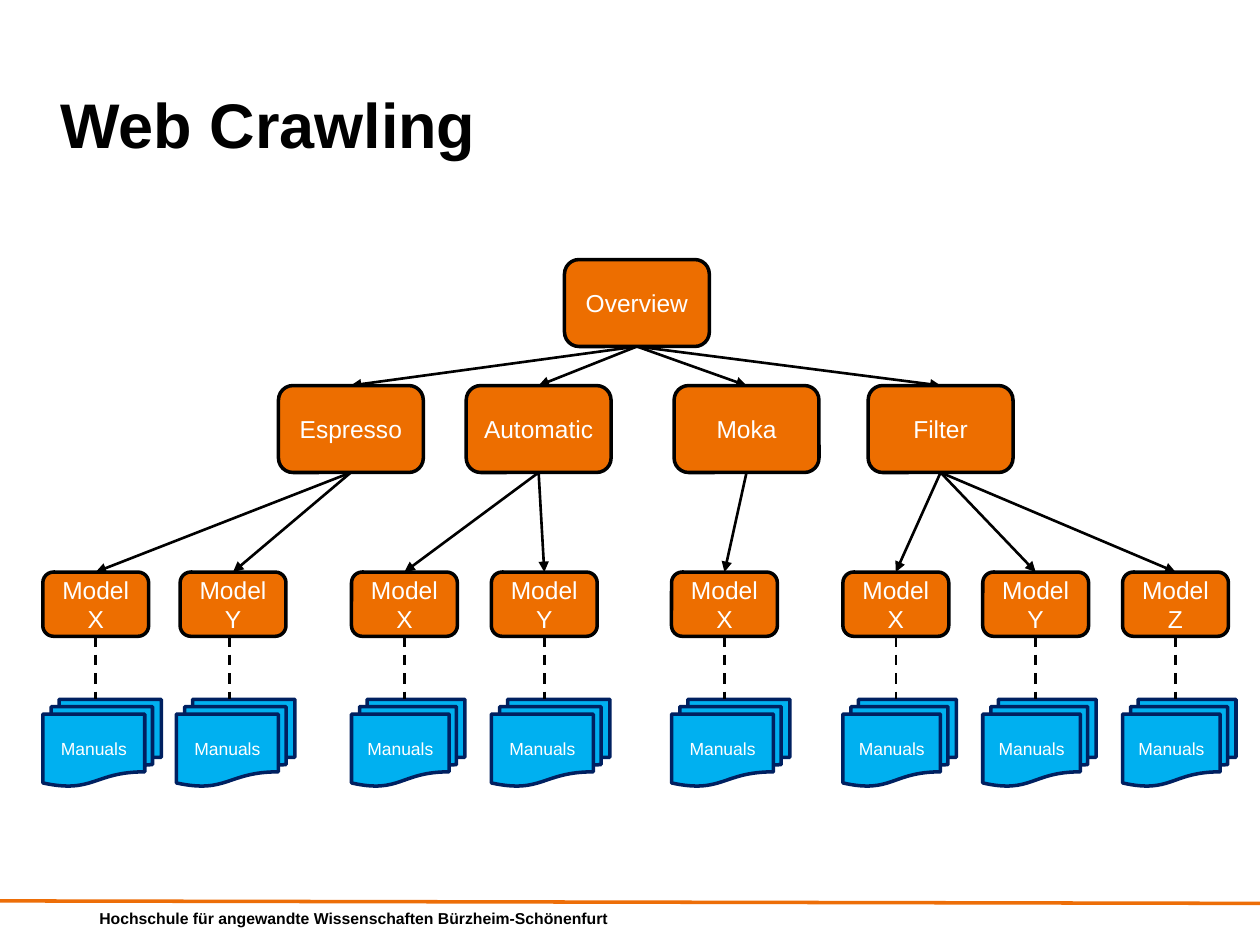
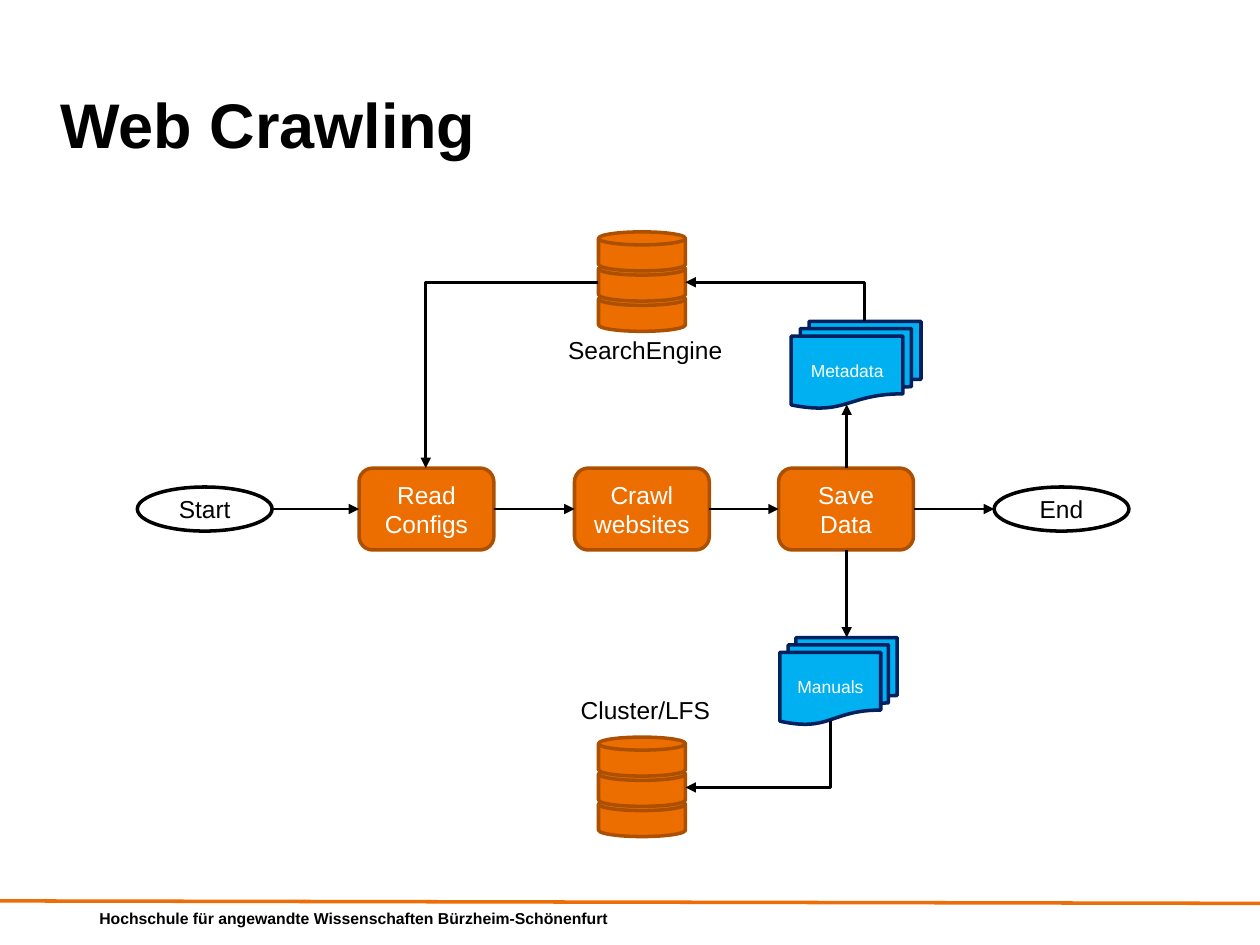
from pptx import Presentation
from pptx.dml.color import RGBColor
from pptx.enum.dml import MSO_LINE as Dash
from pptx.enum.shapes import MSO_CONNECTOR as Conn, MSO_SHAPE as Kind
from pptx.enum.text import MSO_ANCHOR as Anchor, MSO_AUTO_SIZE as Fit, PP_ALIGN as Align
from pptx.oxml.ns import qn
from pptx.util import Inches, Pt
from lxml import etree

# Shared look
FONT = "Arial"
ORANGE, RUST, BAND = "ED6E00", "AC5000", "ED6E08"
SKY, NAVY = "00B0F0", "002060"
BLACK, WHITE = "000000", "FFFFFF"
TITLE = "Web Crawling"
FOOT = "Hochschule für angewandte Wissenschaften Bürzheim-Schönenfurt"

# Tree: category, left, models as (name, left, sheet left, sheet width)
TREE = [
    ("Espresso", 2.21, [("X", 0.34, 0.34, 0.94), ("Y", 1.43, 1.4, 0.94)]),
    ("Automatic", 3.7, [("X", 2.79, 2.79, 0.9), ("Y", 3.9, 3.9, 0.94)]),
    ("Moka", 5.35, [("X", 5.33, 5.33, 0.94)]),
    ("Filter", 6.89, [("X", 6.69, 6.69, 0.9), ("Y", 7.8, 7.8, 0.9),
                      ("Z", 8.91, 8.91, 0.9)]),
]
NODE_W, NODE_H = 1.15, 0.69
MODEL_W, MODEL_H = 0.84, 0.51
ROOT_X, ROOT_Y, CAT_Y, MODEL_Y, SHEET_Y = 4.48, 2.06, 3.06, 4.54, 5.55

# Flow: middle line and step size
MID, STEP_W, STEP_H, OVAL_H = 4.04, 1.07, 0.65, 0.35
STEPS = [("Start", 1.09), ("Read Configs", 2.85), ("Crawl websites", 4.56),
         ("Save Data", 6.18), ("End", 7.89)]
DISK_X, DISK_W, DISK_H, DISK_GAP = 4.75, 0.69, 0.31, 0.24


def color(code):
    return RGBColor.from_string(code)


def apply(item, values):
    for name, value in values.items():
        setattr(item, name, value)


def write(frame, text, size, ink, bold=False, align=Align.LEFT,
          anchor=Anchor.MIDDLE, space=None):
    apply(frame, {"word_wrap": True, "auto_size": Fit.NONE,
                  "vertical_anchor": anchor})
    par = frame.paragraphs[0]
    apply(par, {"alignment": align, "line_spacing": space})
    run = par.add_run()
    run.text = text
    apply(run.font, {"name": FONT, "size": Pt(size), "bold": bold})
    run.font.color.rgb = color(ink)


def shape(shapes, kind, x, y, w, h, fill, edge, text="", size=14, ink=WHITE):
    item = shapes.add_shape(kind, Inches(x), Inches(y), Inches(w), Inches(h))
    item.shadow.inherit = False
    item.fill.solid()
    item.fill.fore_color.rgb = color(fill)
    item.line.color.rgb = color(edge)
    item.line.width = Pt(2)
    if text:
        write(item.text_frame, text, size, ink, align=Align.CENTER)


def box(slide, text, x, y, w, h, edge):
    shape(slide.shapes, Kind.ROUNDED_RECTANGLE, x, y, w, h, ORANGE, edge, text)


def sheets(slide, text, x, y, w):
    shape(slide.shapes, Kind.FLOWCHART_MULTIDOCUMENT, x, y, w, 0.69,
          SKY, NAVY, text, 10)


def oval(slide, text, x):
    shape(slide.shapes, Kind.OVAL, x, MID - OVAL_H / 2, STEP_W, OVAL_H,
          WHITE, BLACK, text, ink=BLACK)


def store(slide, top):
    """Stack three disks, lowest first."""
    group = slide.shapes.add_group_shape()
    for i in (2, 1, 0):
        shape(group.shapes, Kind.FLOWCHART_MAGNETIC_DISK, DISK_X,
              top + i * DISK_GAP, DISK_W, DISK_H, ORANGE, RUST)


def label(slide, text, x, y, w, h, size=14, bold=False, anchor=Anchor.TOP):
    area = slide.shapes.add_textbox(Inches(x), Inches(y), Inches(w), Inches(h))
    write(area.text_frame, text, size, BLACK, bold, anchor=anchor)


def line(slide, x1, y1, x2, y2, ink=BLACK, width=1.5, tip=None, dash=None,
         bent=False):
    """Draw a line; a bent one runs level first, then upright."""
    kind = Conn.ELBOW if bent else Conn.STRAIGHT
    item = slide.shapes.add_connector(kind, Inches(x1), Inches(y1),
                                      Inches(x2), Inches(y2))
    item.line.color.rgb = color(ink)
    item.line.width = Pt(width)
    if dash:
        item.line.dash_style = dash
    props = item.element.spPr
    if bent:
        props.find(qn("a:prstGeom")).set("prst", "bentConnector2")
    if tip:
        end = etree.SubElement(props.find(qn("a:ln")), qn("a:" + tip))
        end.set("type", "triangle")
    etree.SubElement(props, qn("a:effectLst"))


def arrow(slide, x1, y1, x2, y2):
    line(slide, x1, y1, x2, y2, tip="tailEnd")


def start(deck):
    """Add a slide with the shared title, band and footer."""
    slide = deck.slides.add_slide(deck.slide_layouts[5])
    line(slide, 0, 7.15, 10, 7.17, BAND, 2)
    label(slide, FOOT, 0.69, 7.16, 4.72, 0.25, 9, True, Anchor.MIDDLE)
    head = slide.shapes.title
    apply(head, {"left": Inches(0.38), "top": Inches(0.28),
                 "width": Inches(7.75), "height": Inches(0.81)})
    apply(head.text_frame, {"margin_" + side: Inches(0.1)
                            for side in ("left", "top", "right", "bottom")})
    write(head.text_frame, TITLE, 36, BLACK, True, anchor=Anchor.TOP, space=1.5)
    return slide


def tree(slide):
    root = ROOT_X + NODE_W / 2
    box(slide, "Overview", ROOT_X, ROOT_Y, NODE_W, NODE_H, BLACK)
    for name, x, models in TREE:
        mid = x + NODE_W / 2
        arrow(slide, root, ROOT_Y + NODE_H, mid, CAT_Y)
        box(slide, name, x, CAT_Y, NODE_W, NODE_H, BLACK)
        for mark, left, pile, wide in models:
            arrow(slide, mid, CAT_Y + NODE_H, left + MODEL_W / 2, MODEL_Y)
            box(slide, "Model " + mark, left, MODEL_Y, MODEL_W, MODEL_H, BLACK)
            sheets(slide, "Manuals", pile, SHEET_Y, wide)
            drop = pile + MODEL_W / 2
            line(slide, drop, MODEL_Y + MODEL_H, drop, SHEET_Y, dash=Dash.DASH)


def flow(slide):
    # Stores and their names
    store(slide, 1.84)
    store(slide, 5.85)
    label(slide, "SearchEngine", 4.41, 2.61, 1.68, 0.34)
    label(slide, "Cluster/LFS", 4.51, 5.47, 1.68, 0.34)

    # Main row
    top = MID - STEP_H / 2
    for name, x in STEPS:
        if name in ("Start", "End"):
            oval(slide, name, x)
        else:
            box(slide, name, x, top, STEP_W, STEP_H, RUST)
    for (_, here), (_, there) in zip(STEPS, STEPS[1:]):
        arrow(slide, here + STEP_W, MID, there, MID)

    # Saved files
    sheets(slide, "Manuals", 6.19, 5.06, 0.93)
    sheets(slide, "Metadata", 6.28, 2.55, 1.03)
    arrow(slide, 6.72, top + STEP_H, 6.72, 5.06)
    arrow(slide, 6.72, top, 6.72, 3.21)

    # Links to and from the stores
    edge = DISK_X + DISK_W
    line(slide, edge, 6.25, 6.59, 5.72, tip="headEnd", bent=True)
    line(slide, edge, 2.24, 6.86, 2.55, tip="headEnd", bent=True)
    line(slide, DISK_X, 2.24, 3.38, top, tip="tailEnd", bent=True)


def main():
    deck = Presentation()
    apply(deck, {"slide_width": Inches(10), "slide_height": Inches(7.5)})
    for draw in (tree, flow):
        draw(start(deck))
    deck.save("out.pptx")


if __name__ == "__main__":
    main()
